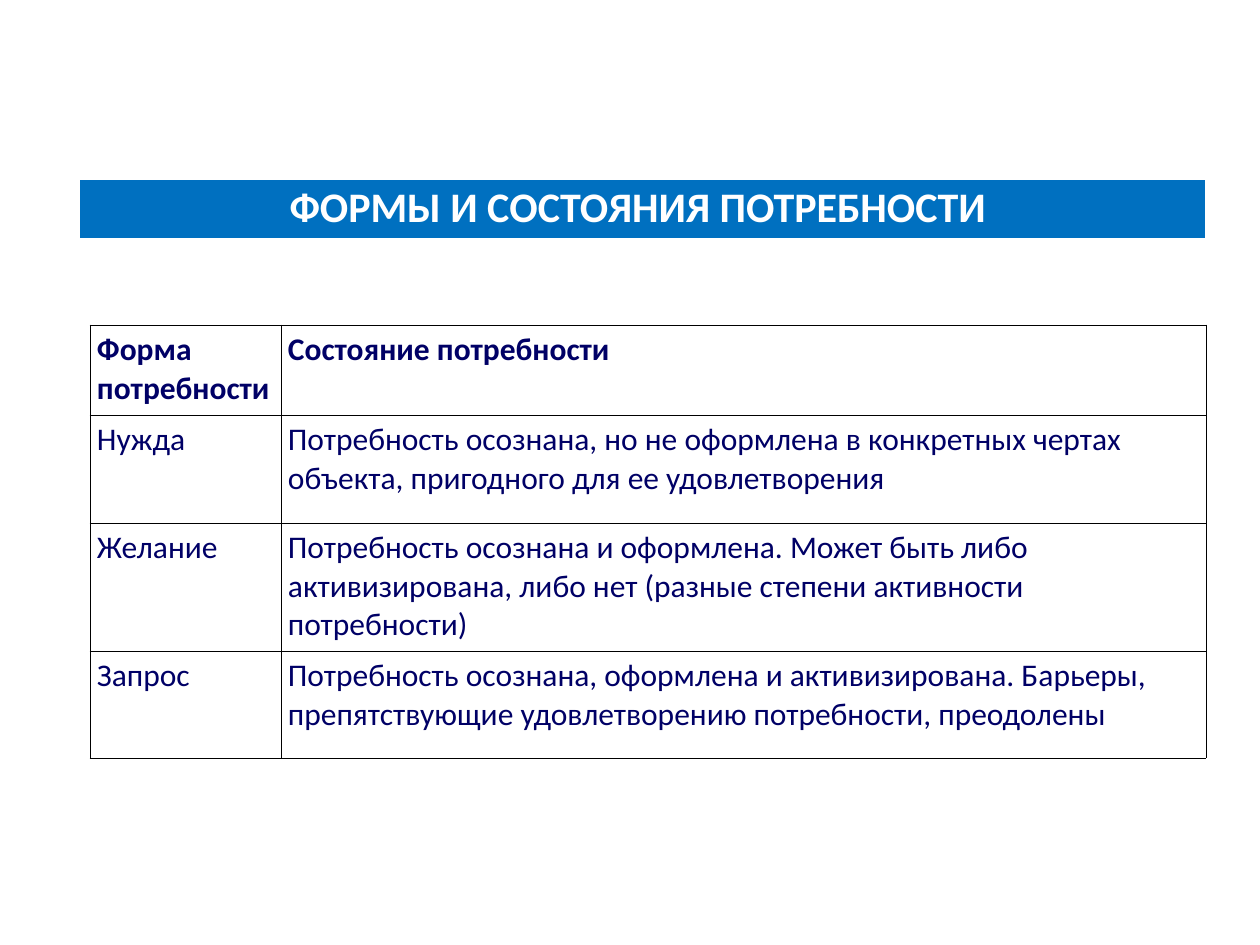
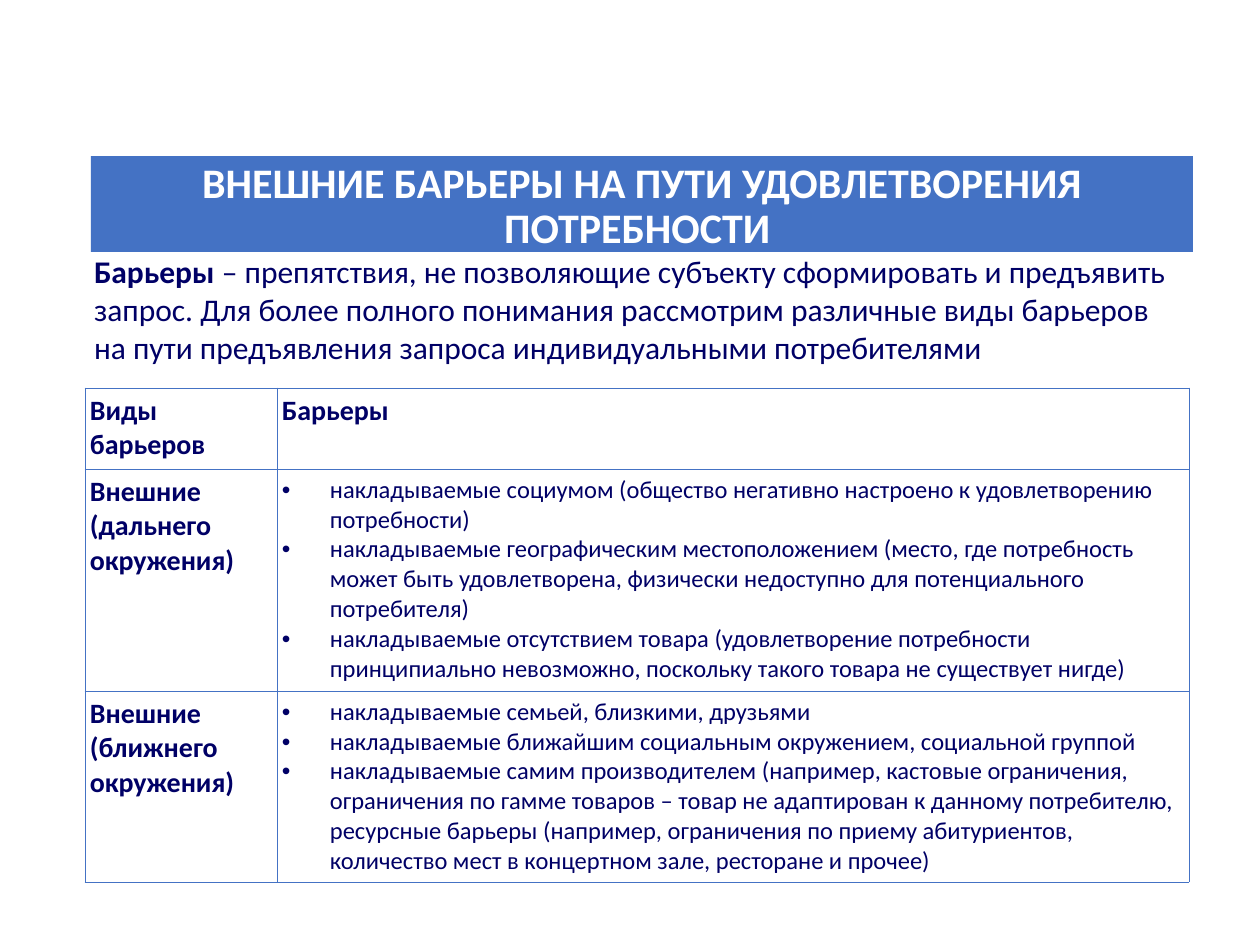
from lxml.etree import SubElement
from pptx import Presentation
from pptx.dml.color import RGBColor
from pptx.enum.shapes import MSO_SHAPE
from pptx.enum.text import MSO_ANCHOR, PP_ALIGN
from pptx.oxml import parse_xml
from pptx.oxml.ns import nsdecls, qn
from pptx.util import Emu, Pt

SCALE = 914400 / 126  # EMU in one px

WHITE = RGBColor(0xFF, 0xFF, 0xFF)
BLACK = RGBColor(0x00, 0x00, 0x00)
NAVY = RGBColor(0x00, 0x00, 0x66)
BRIGHT_BLUE = RGBColor(0x00, 0x70, 0xC0)
SOFT_BLUE = RGBColor(0x44, 0x72, 0xC4)


def px(length):
    return Emu(round(length * SCALE))


class Deck:
    """Holds the shared style and the current slide."""

    font_name = "Calibri"
    title_size = 24
    body_size = 18
    bullet_size = 14
    bullet_indent = 48
    border_width = Pt(0.45)
    cell_margin_y = 6

    def __init__(self):
        self.deck = Presentation()
        self.deck.slide_width, self.deck.slide_height = px(1260), px(945)
        self.page = None

    def add_page(self):
        self.page = self.deck.slides.add_slide(self.deck.slide_layouts[6])

    def style(self, para, size, color=NAVY, bold=None):
        font = para.font
        font.name, font.size, font.bold = self.font_name, Pt(size), bold
        font.color.rgb = color

    def title(self, text, left, top, width, height, color):
        band = self.page.shapes.add_shape(
            MSO_SHAPE.RECTANGLE, px(left), px(top), px(width), px(height))
        band.shadow.inherit = False
        band.fill.solid()
        band.fill.fore_color.rgb = color
        band.line.fill.background()
        band.text_frame.vertical_anchor = MSO_ANCHOR.TOP
        para = band.text_frame.paragraphs[0]
        para.text = text
        para.alignment = PP_ALIGN.CENTER
        para.line_spacing = 0.9
        self.style(para, self.title_size, WHITE, True)

    def definition(self, term, meaning, left, top, width, height):
        box = self.page.shapes.add_textbox(px(left), px(top), px(width), px(height))
        frame = box.text_frame
        frame.word_wrap = True
        frame.vertical_anchor = MSO_ANCHOR.MIDDLE
        frame.margin_left, frame.margin_top = px(13), px(21)
        frame.margin_right = frame.margin_bottom = 0
        para = frame.paragraphs[0]
        for text, bold in ((term, True), (meaning, False)):
            span = para.add_run()
            span.text = text
            span.font.bold = bold
        self.style(para, self.body_size)

    def bullet(self, para):
        properties = para._p.get_or_add_pPr()
        indent = px(self.bullet_indent)
        properties.set("marL", str(indent))
        properties.set("indent", str(-indent))
        color = SubElement(properties, qn("a:buClr"))
        SubElement(color, qn("a:srgbClr"), val=str(NAVY))
        SubElement(properties, qn("a:buFont"), typeface="Arial")
        SubElement(properties, qn("a:buChar"), char="•")

    def borders(self, cell, color):
        properties = cell._tc.get_or_add_tcPr()
        for position, side in enumerate("LRTB"):
            properties.insert(position, parse_xml(
                f'<a:ln{side} {nsdecls("a")} w="{self.border_width}">'
                f'<a:solidFill><a:srgbClr val="{color}"/></a:solidFill></a:ln{side}>'))

    def fill_cell(self, cell, content, size, bold, margin_x):
        """A list becomes bullets; a string gives one paragraph a line."""
        cell.fill.background()
        cell.margin_left = cell.margin_right = px(margin_x)
        cell.margin_top = cell.margin_bottom = px(self.cell_margin_y)
        bulleted = isinstance(content, list)
        frame = cell.text_frame
        for index, text in enumerate(content if bulleted else content.split("\n")):
            para = frame.add_paragraph() if index else frame.paragraphs[0]
            para.text = text
            if bulleted:
                self.bullet(para)
            self.style(para, self.bullet_size if bulleted else size,
                       bold=bold and not bulleted)

    def table(self, rows, left, top, widths, heights, size, margin_x,
              border, bold_first_column=False):
        frame = self.page.shapes.add_table(
            len(rows), len(widths), px(left), px(top),
            px(sum(widths)), px(sum(heights)))
        table = frame.table
        table.first_row = table.horz_banding = False
        for column, width in zip(table.columns, widths):
            column.width = px(width)
        for row, height in zip(table.rows, heights):
            row.height = px(height)
        for row_index, contents in enumerate(rows):
            for column_index, content in enumerate(contents):
                cell = table.cell(row_index, column_index)
                bold = row_index == 0 or (bold_first_column and column_index == 0)
                self.fill_cell(cell, content, size, bold, margin_x)
                self.borders(cell, border)

    def save(self):
        self.deck.save("out.pptx")


NEED_FORMS = [
    ("Форма\nпотребности", "Состояние потребности"),
    ("Нужда",
     "Потребность осознана, но не оформлена в конкретных чертах объекта, "
     "пригодного для ее удовлетворения"),
    ("Желание",
     "Потребность осознана и оформлена. Может быть либо активизирована, "
     "либо нет (разные степени активности потребности)"),
    ("Запрос",
     "Потребность осознана, оформлена и активизирована. Барьеры, "
     "препятствующие удовлетворению потребности, преодолены"),
]

BARRIERS = [
    ("Виды\nбарьеров", "Барьеры"),
    ("Внешние (дальнего окружения)", [
        "накладываемые социумом (общество негативно настроено к "
        "удовлетворению потребности)",
        "накладываемые географическим местоположением (место, где потребность "
        "может быть удовлетворена, физически недоступно для потенциального "
        "потребителя)",
        "накладываемые отсутствием товара (удовлетворение потребности "
        "принципиально невозможно, поскольку такого товара не существует нигде)",
    ]),
    ("Внешние (ближнего окружения)", [
        "накладываемые семьей, близкими, друзьями",
        "накладываемые ближайшим социальным окружением, социальной группой",
        "накладываемые самим производителем (например, кастовые ограничения, "
        "ограничения по гамме товаров – товар не адаптирован к данному "
        "потребителю, ресурсные барьеры (например, ограничения по приему "
        "абитуриентов, количество мест в концертном зале, ресторане и прочее)",
    ]),
]


def main():
    deck = Deck()

    # Forms and states of a need
    deck.add_page()
    deck.title("ФОРМЫ И СОСТОЯНИЯ ПОТРЕБНОСТИ ", 80, 180, 1125, 58, BRIGHT_BLUE)
    deck.table(NEED_FORMS, 90, 325, widths=(191, 925), heights=(90, 108, 128, 107),
               size=18, margin_x=7, border=BLACK)

    # External barriers
    deck.add_page()
    deck.title("ВНЕШНИЕ БАРЬЕРЫ НА ПУТИ УДОВЛЕТВОРЕНИЯ ПОТРЕБНОСТИ ",
               91, 156, 1102, 96, SOFT_BLUE)
    deck.table(BARRIERS, 85, 388, widths=(192, 912), heights=(81, 222, 191),
               size=16, margin_x=5, border=SOFT_BLUE, bold_first_column=True)
    deck.definition(
        "Барьеры",
        " – препятствия, не позволяющие субъекту сформировать и предъявить "
        "запрос. Для более полного понимания рассмотрим различные виды барьеров "
        "на пути предъявления запроса индивидуальными потребителями",
        81, 231, 1103, 135)

    deck.save()


if __name__ == "__main__":
    main()
